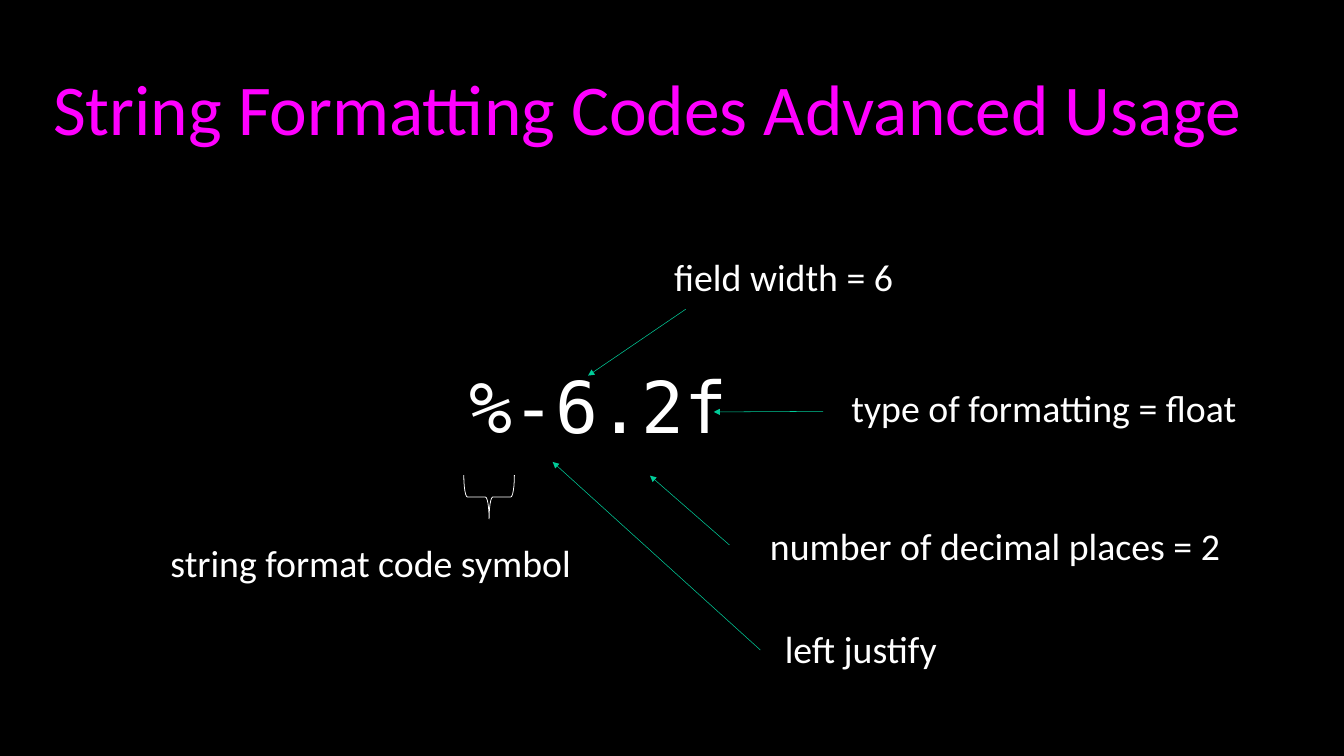
import pptx
import pptx.util
import pptx.dml.color
import pptx.enum.shapes
import pptx.enum.text
import pptx.oxml

Cm = pptx.util.Cm
Pt = pptx.util.Pt
PP_ALIGN = pptx.enum.text.PP_ALIGN
ANCHOR = pptx.enum.text.MSO_ANCHOR

COLORS = {"back": "000000", "title": "FF00FF", "text": "FFFFFF", "arrow": "00CC99"}

TITLE = {"name": "Calibri", "size": Pt(68)}
CODE = {"name": "DejaVu Sans Mono", "size": Pt(68)}
LABEL = {"name": "Calibri", "size": Pt(36)}

LABEL_HEIGHT = 1.78
# Text, label (left, top, width), arrow (from x, y, to x, y), relative to the diagram
CALLOUTS = [
    ("field width = 6", (16.15, 0.01, 14.17), (19.94, 1.99, 16.66, 4.22)),
    ("type of formatting = float", (24.08, 4.4, 15.8), (24.56, 5.42, 20.88, 5.44)),
    ("number of decimal places = 2", (20.88, 9.02, 18.92), (21.41, 9.91, 18.74, 7.58)),
    ("left justify", (18.74, 12.5, 14.17), (22.45, 13.44, 15.47, 7.12)),
    ("string format code symbol", (0, 9.61, 18.72), None),
]


def rgb(key):
    return pptx.dml.color.RGBColor.from_string(COLORS[key])


def add_text(s, text, box, font, color="text", align=PP_ALIGN.CENTER,
             anchor=ANCHOR.TOP, margins=(0.25, 0.13)):
    tf = s.shapes.add_textbox(*map(Cm, box)).text_frame
    across, down = map(Cm, margins)
    frame = {"word_wrap": True, "vertical_anchor": anchor,
             "margin_left": across, "margin_right": across,
             "margin_top": down, "margin_bottom": down}
    for key, value in frame.items():
        setattr(tf, key, value)
    p = tf.paragraphs[0]
    p.alignment = align
    r = p.add_run()
    r.text = text
    for key, value in font.items():
        setattr(r.font, key, value)
    r.font.color.rgb = rgb(color)
    return p


def add_arrow(s, ends):
    sp = s.shapes.add_connector(pptx.enum.shapes.MSO_CONNECTOR.STRAIGHT, *map(Cm, ends))
    sp.line.width = Pt(0.5)
    sp.line.color.rgb = rgb("arrow")
    ns = 'xmlns:a="http://schemas.openxmlformats.org/drawingml/2006/main"'
    sp.line._get_or_add_ln().append(
        pptx.oxml.parse_xml(f'<a:tailEnd {ns} type="triangle"/>'))
    sp._element.spPr.append(pptx.oxml.parse_xml(f"<a:effectLst {ns}/>"))


def add_brace(s, box):
    sp = s.shapes.add_shape(pptx.enum.shapes.MSO_SHAPE.LEFT_BRACE, *map(Cm, box))
    sp.rotation = 270
    sp.shadow.inherit = False
    sp.fill.background()
    sp.line.width = Pt(0.75)
    sp.line.color.rgb = rgb("text")


def add_title(s, box):
    add_text(s, "String Formatting Codes Advanced Usage", box, TITLE, "title",
             anchor=ANCHOR.MIDDLE, margins=(0.1, 0.1))


def add_diagram(s, left, top):
    # Format code
    p = add_text(s, "%-6.2f", (left + 12.67, top + 3.87, 17.5, 3.05), CODE,
                 align=PP_ALIGN.LEFT, anchor=ANCHOR.MIDDLE, margins=(0, 0))
    p.line_spacing = 0.9

    # Brace under the percent sign
    add_brace(s, (left + 12.6, top + 7.45, 1.47, 1.7))

    # Labels and their arrows
    for text, (x, y, width), ends in CALLOUTS:
        add_text(s, text, (left + x, top + y, width, LABEL_HEIGHT), LABEL)
        if ends:
            x1, y1, x2, y2 = ends
            add_arrow(s, (left + x1, top + y1, left + x2, top + y2))


def main():
    prs = pptx.Presentation()
    prs.slide_width, prs.slide_height = Cm(45.16), Cm(25.4)
    s = prs.slides.add_slide(prs.slide_layouts[6])
    s.background.fill.solid()
    s.background.fill.fore_color.rgb = rgb("back")
    add_title(s, (1.63, 0.41, 40.28, 6.38))
    add_diagram(s, 3.1, 8.4)
    prs.save("out.pptx")


if __name__ == "__main__":
    main()
